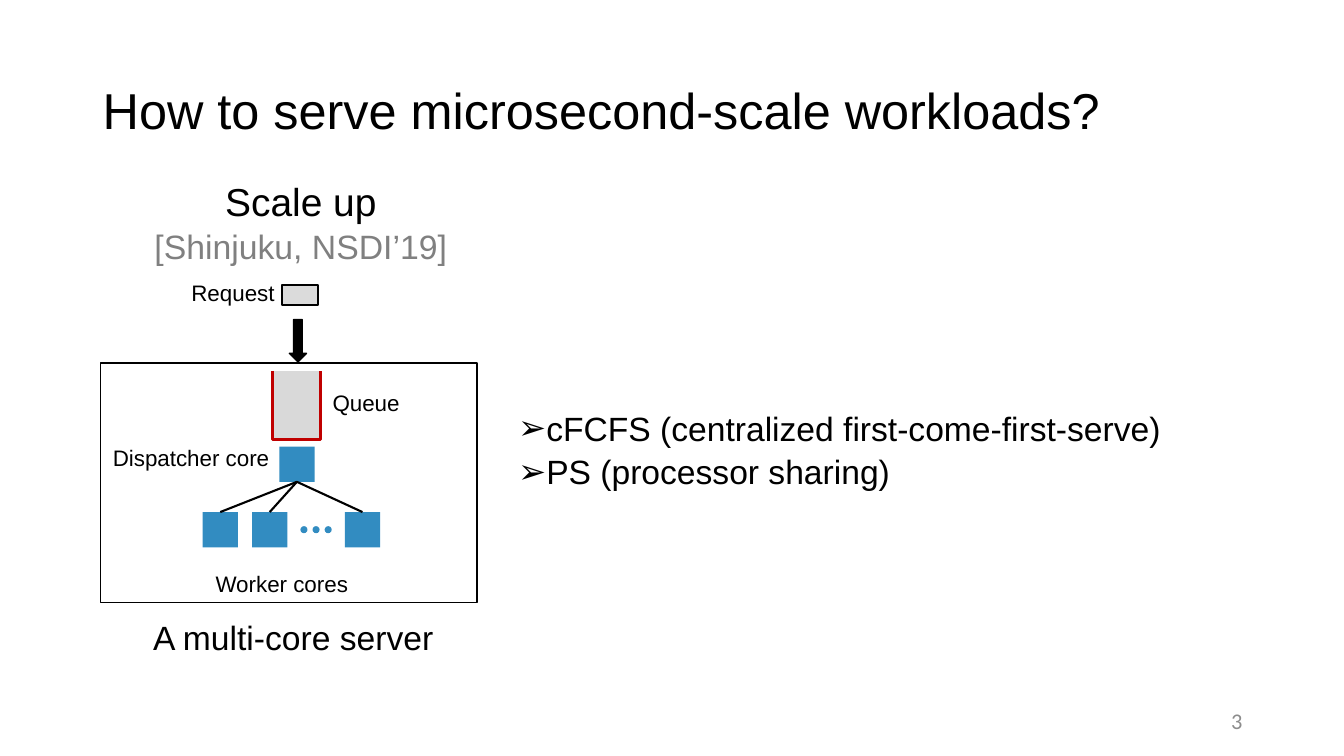
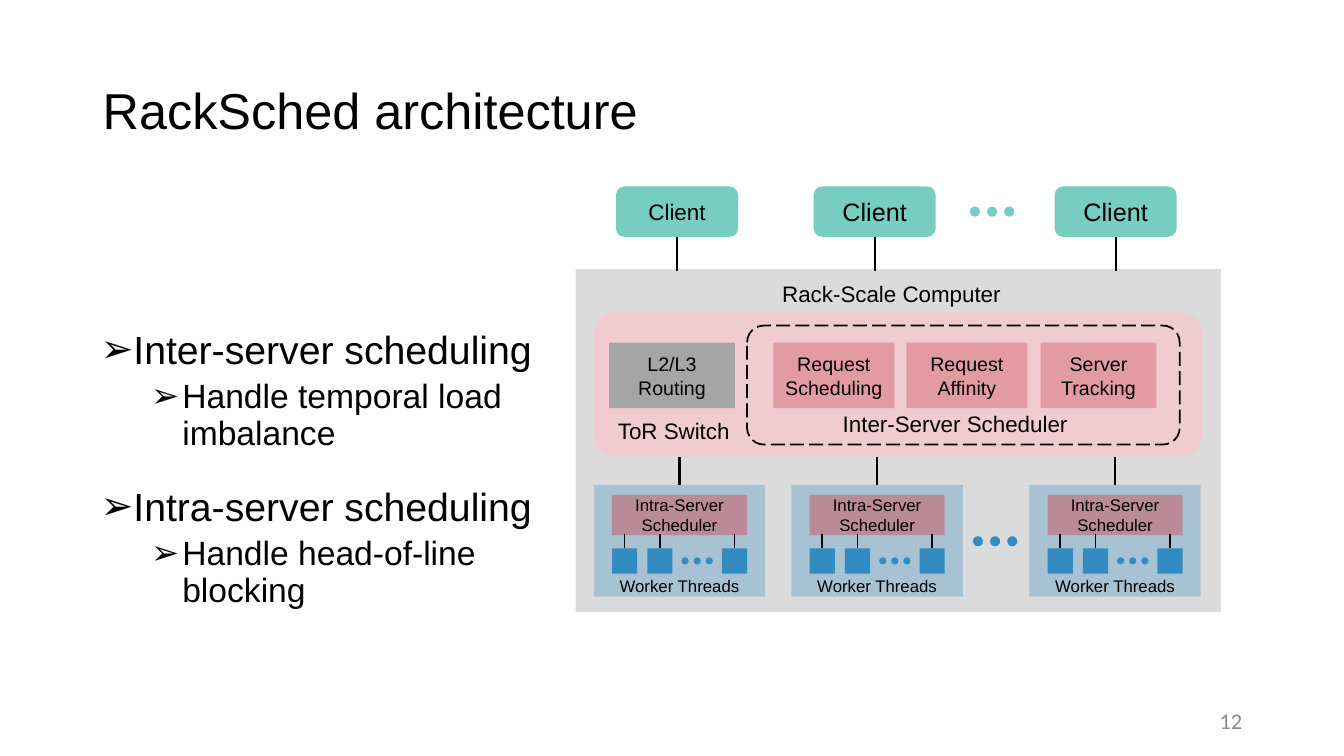
from pptx import Presentation
from pptx.dml.color import RGBColor
from pptx.enum.dml import MSO_LINE_DASH_STYLE as Dash
from pptx.enum.shapes import MSO_CONNECTOR as Connector, MSO_SHAPE as Shape
from pptx.enum.text import MSO_ANCHOR as Anchor, MSO_AUTO_SIZE as AutoSize, PP_ALIGN as Align
from pptx.oxml.ns import qn
from pptx.util import Inches, Pt
from lxml import etree

# The slide is a grid of 13.33 columns by 7.5 rows of square cells.
COLUMNS, ROWS = 13.33, 7.5
CELL = Inches(1)

BLACK, GREY, PALE_GREY = "000000", "8C8C8C", "DBDBDB"
BLUE, TEAL, ROSE, PALE_ROSE, RED = "328CC1", "4ABDAC", "CD5360", "F0CBCF", "C00000"
TOP, BOTTOM = 0, 2


def cells(*counts):
    return [round(count * CELL) for count in counts]


def color(hex_string):
    return RGBColor.from_string(hex_string)


def write(frame, text, size=16, ink=BLACK, font="Arial", align=Align.LEFT,
          anchor=Anchor.TOP, wrap=True, spacing=None):
    """Fill a text frame, one paragraph for each line of the text."""
    frame.word_wrap = wrap
    if not wrap:
        frame.auto_size = AutoSize.SHAPE_TO_FIT_TEXT
    frame.vertical_anchor = anchor
    for number, line in enumerate(text.split("\n")):
        para = frame.add_paragraph() if number else frame.paragraphs[0]
        add_span(para, line, size, ink, font, align, spacing)


def add_span(para, text, size, ink=BLACK, font="Arial", align=Align.LEFT,
             spacing=None, before=0):
    para.alignment = align
    if spacing:
        para.line_spacing = spacing
    if before:
        para.space_before = Pt(before)
    span = para.add_run()
    span.text = text
    span.font.name, span.font.size = font, Pt(size)
    span.font.color.rgb = color(ink)


def add_text(page, place, text, **form):
    box = page.shapes.add_textbox(*cells(*place))
    write(box.text_frame, text, **form)


def add_label(page, place, text, size=16, align=Align.LEFT):
    add_text(page, place, text, size=size, align=align, wrap=False)


def add_bullets(page, place, items):
    """Each item is text, size, left margin, hanging indent and space before."""
    frame = page.shapes.add_textbox(*cells(*place)).text_frame
    frame.word_wrap = True
    for number, (text, size, margin, hang, before) in enumerate(items):
        para = frame.add_paragraph() if number else frame.paragraphs[0]
        properties = para._p.get_or_add_pPr()
        left, indent = cells(margin, -hang)
        properties.set("marL", str(left))
        properties.set("indent", str(indent))
        etree.SubElement(properties, qn("a:buFont"), typeface="Arial")
        etree.SubElement(properties, qn("a:buChar"), char="➢")
        add_span(para, text, size, spacing=0.9, before=before)


def paint(shape, fill=None, opacity=100, line=None, width=1, dash=None):
    shape.shadow.inherit = False
    if fill:
        shape.fill.solid()
        shape.fill.fore_color.rgb = color(fill)
        if opacity < 100:
            tint = shape.fill._xPr.find(qn("a:solidFill"))[0]
            etree.SubElement(tint, qn("a:alpha"), val=str(opacity * 1000))
    else:
        shape.fill.background()
    if line:
        shape.line.color.rgb = color(line)
        shape.line.width = Pt(width)
        if dash:
            shape.line.dash_style = dash
    else:
        shape.line.fill.background()


def add_box(parent, place, fill=None, kind=Shape.RECTANGLE, text=None, size=16,
            corner=None, **look):
    box = parent.shapes.add_shape(kind, *cells(*place))
    paint(box, fill, **look)
    if corner:
        box.adjustments[0] = corner
    if text:
        frame = box.text_frame
        frame.margin_left = frame.margin_right = 0
        write(frame, text, size=size, align=Align.CENTER, anchor=Anchor.MIDDLE)
    return box


def add_dots(page, left, top, size, step, fill=BLUE, opacity=100):
    group = page.shapes.add_group_shape()
    for number in range(3):
        add_box(group, (left + number * step, top, size, size), fill,
                Shape.OVAL, opacity=opacity)


def add_link(page, box, side, end_box=None, end_row=None, width=1.5):
    """Join a side of a box to the bottom of another, or run straight to a row."""
    link = page.shapes.add_connector(Connector.STRAIGHT, 0, 0, 0, 0)
    link.begin_connect(box, side)
    if end_box is not None:
        link.end_connect(end_box, BOTTOM)
    else:
        link.end_x, link.end_y = link.begin_x, cells(end_row)[0]
    link.line.color.rgb = color(BLACK)
    link.line.width = Pt(width)
    etree.SubElement(link._element.spPr, qn("a:effectLst"))


def add_page(deck, title, number):
    page = deck.slides.add_slide(deck.slide_layouts[6])
    add_text(page, (0.92, 0.4, 11.5, 1.45), title, size=36,
             anchor=Anchor.MIDDLE, spacing=0.9)
    add_text(page, (9.42, 6.95, 3, 0.4), number, ink=GREY, font="Calibri",
             align=Align.RIGHT, anchor=Anchor.MIDDLE)
    return page


def add_queue(page, left, top, width, height):
    """A grey container with red sides and an open top."""
    right, bottom = left + width, top + height
    outline = page.shapes.build_freeform(*cells(left, top))
    corners = [cells(left, bottom), cells(right, bottom), cells(right, top)]
    outline.add_line_segments(corners, close=False)
    paint(outline.convert_to_shape(), "D9D9D9", line=RED, width=2.25)


def add_heading(page):
    frame = page.shapes.add_textbox(*cells(0.95, 1.84, 4.07, 0.88)).text_frame
    frame.word_wrap = True
    add_span(frame.paragraphs[0], "Scale up", 27.8, align=Align.CENTER, spacing=0.7)
    add_span(frame.add_paragraph(), "[Shinjuku, NSDI’19]", 24.1, "808080",
             align=Align.CENTER, spacing=0.7, before=10)


def build_scale_up(deck):
    page = add_page(deck, "How to serve microsecond-scale workloads?", "3")
    add_heading(page)
    add_box(page, (1, 3.6, 3.73, 2.38), line=BLACK)
    add_box(page, (2.8, 2.83, 0.35, 0.2), PALE_GREY, line=BLACK, width=1.5)
    add_box(page, (2.87, 3.17, 0.17, 0.42), BLACK, Shape.DOWN_ARROW, line=BLACK)
    add_queue(page, 2.7, 3.68, 0.48, 0.68)

    core = 0.35
    dispatcher = add_box(page, (2.77, 4.43, core, core), BLUE)
    for left in (2.01, 2.5, 3.42):
        worker = add_box(page, (left, 5.08, core, core), BLUE)
        add_link(page, worker, TOP, dispatcher)
    add_dots(page, 2.98, 5.22, 0.07, 0.12)

    add_label(page, (1.8, 2.72, 1.1, 0.37), "Request")
    add_label(page, (3.2, 3.81, 0.9, 0.37), "Queue")
    add_label(page, (1.02, 4.36, 1.79, 0.37), "Dispatcher core")
    add_label(page, (2.04, 5.61, 1.53, 0.37), "Worker cores")
    add_label(page, (1.42, 6.07, 3.05, 0.5), "A multi-core server", 24)
    add_bullets(page, (4.54, 4.04, 7.95, 0.9), [
        ("cFCFS (centralized first-come-first-serve)", 24, 0.75, 0.25, 0),
        ("PS (processor sharing)", 24, 0.75, 0.25, 5),
    ])


def add_server(page, left, top=4.81):
    server = add_box(page, (left, top, 1.7, 1.11), BLUE, opacity=30)
    add_link(page, server, TOP, end_row=4.53)
    add_box(page, (left + 0.18, top + 0.1, 1.34, 0.4), ROSE, opacity=50,
            text="Intra-Server\nScheduler", size=12)
    for offset in (0.18, 0.53, 1.27):
        thread = add_box(page, (left + offset, top + 0.63, 0.25, 0.25), BLUE)
        add_link(page, thread, TOP, end_row=top + 0.49, width=1.25)
    add_dots(page, left + 0.87, top + 0.72, 0.07, 0.12)
    add_label(page, (left + 0.15, top + 0.85, 1.4, 0.3), "Worker Threads", 12,
              Align.CENTER)


def add_switch(page):
    add_box(page, (5.89, 3.1, 6.03, 1.43), PALE_ROSE, Shape.ROUNDED_RECTANGLE,
            corner=0.14)
    add_box(page, (7.41, 3.23, 4.29, 1.18), kind=Shape.ROUNDED_RECTANGLE,
            corner=0.14, line=BLACK, width=1.25, dash=Dash.LONG_DASH)
    modules = [
        (6.04, 1.25, "L2/L3\nRouting", "A5A5A5", 100),
        (7.67, 1.2, "Request\nScheduling", ROSE, 40),
        (8.99, 1.2, "Request\nAffinity", ROSE, 40),
        (10.32, 1.15, "Server\nTracking", ROSE, 40),
    ]
    for left, width, text, fill, opacity in modules:
        add_box(page, (left, 3.4, width, 0.65), fill, text=text, size=14,
                opacity=opacity)
    add_label(page, (8.26, 4.02, 2.45, 0.37), "Inter-Server Scheduler")
    add_label(page, (6.03, 4.09, 1.32, 0.37), "ToR Switch")


def build_architecture(deck):
    page = add_page(deck, "RackSched architecture", "12")
    add_bullets(page, (0.9, 3.23, 4.81, 3.4), [
        ("Inter-server scheduling", 28, 0.25, 0.25, 0),
        ("Handle temporal load imbalance", 24, 0.81, 0.31, 5),
        ("Intra-server scheduling", 28, 0.25, 0.25, 25),
        ("Handle head-of-line blocking", 24, 0.81, 0.31, 5),
    ])
    add_box(page, (5.71, 2.67, 6.4, 3.4), PALE_GREY)
    add_label(page, (7.66, 2.73, 2.43, 0.37), "Rack-Scale Computer")
    add_switch(page)
    for left, size in ((6.11, 16), (8.07, 18), (10.46, 18)):
        client = add_box(page, (left, 1.85, 1.21, 0.5), TEAL,
                         Shape.ROUNDED_RECTANGLE, "Client", size, opacity=75)
        add_link(page, client, BOTTOM, end_row=2.69)
    for left in (5.89, 7.85, 10.21):
        add_server(page, left)
    add_dots(page, 9.62, 2.05, 0.1, 0.17, TEAL, 75)
    add_dots(page, 9.65, 5.32, 0.1, 0.17)


def main():
    deck = Presentation()
    deck.slide_width, deck.slide_height = cells(COLUMNS, ROWS)
    build_scale_up(deck)
    build_architecture(deck)
    deck.save("out.pptx")


if __name__ == "__main__":
    main()
